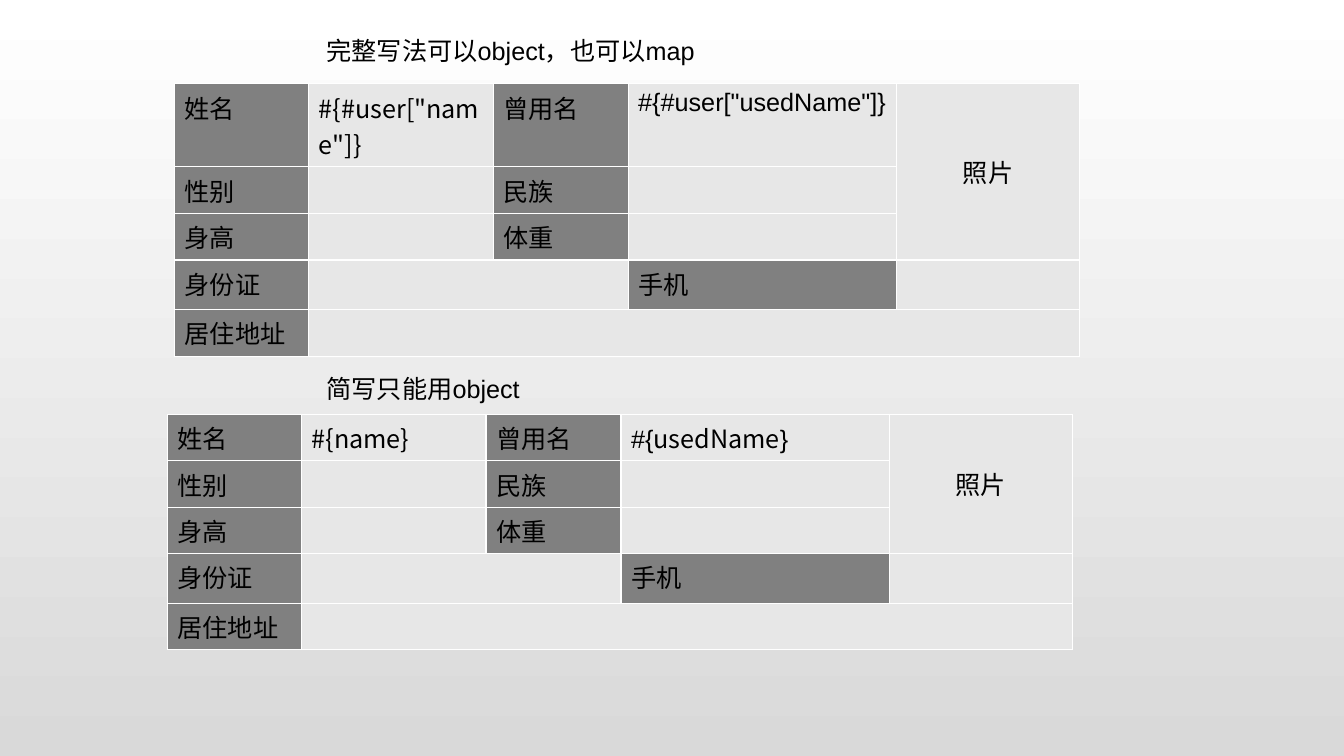
from lxml.etree import SubElement
from pptx import Presentation
from pptx.dml.color import RGBColor as RGB
from pptx.enum.text import MSO_ANCHOR as Anchor, PP_ALIGN as Align
from pptx.oxml import parse_xml
from pptx.oxml.ns import nsdecls, qn
from pptx.util import Cm, Pt

COLORS = {"label": "808080", "value": "E7E7E7", "line": "FFFFFF",
          "text": "000000", "top": "FFFFFF", "bottom": "D9D9D9"}
LATIN, CJK = "Arial", "Noto Sans CJK SC"

LABELS = {(0, 0): "姓名", (0, 2): "曾用名", (1, 0): "性别", (1, 2): "民族",
          (2, 0): "身高", (2, 2): "体重", (3, 0): "身份证", (3, 3): "手机",
          (4, 0): "居住地址"}
PHOTO = "照片"
MERGES = [((0, 4), (2, 4)), ((3, 1), (3, 2)), ((4, 1), (4, 4))]
COLS = [3.38, 4.65, 3.4, 6.76, 4.62]
ROWS = [1.17, 1.17, 1.25, 1.17]

# Each form: caption, caption top, table left, table top, first row height,
# name parts and former name parts as (text, font)
FORMS = [
    ("完整写法可以object，也可以map", 0.76, 4.4, 2.11, 2.09,
     [('#{#user["name"]}', CJK)],
     [('#{#user["usedName"]}', LATIN)]),
    ("简写只能用object", 9.27, 4.22, 10.44, 1.17,
     [("#{name}", CJK)],
     [("#{", LATIN), ("usedName", CJK), ("}", LATIN)]),
]


def write(frame, parts):
    para = frame.paragraphs[0]
    for text, face in parts:
        run = para.add_run()
        run.text = text
        run.font.size = Pt(18)
        run.font.name = face
        run.font.color.rgb = RGB.from_string(COLORS["text"])
        SubElement(run._r.get_or_add_rPr(), qn("a:ea"), typeface=CJK)


def paint(cell, color):
    """Fill the cell and draw its four borders."""
    cell.fill.solid()
    cell.fill.fore_color.rgb = RGB.from_string(color)
    props = cell._tc.get_or_add_tcPr()
    for i, side in enumerate("LRTB"):
        props.insert(i, parse_xml(
            f'<a:ln{side} {nsdecls("a")} w="12700"><a:solidFill>'
            f'<a:srgbClr val="{COLORS["line"]}"/></a:solidFill></a:ln{side}>'))


def add_form(slide, caption, cap_top, left, top, first, name, former):
    heights = [first] + ROWS
    table = slide.shapes.add_table(
        len(heights), len(COLS), Cm(left), Cm(top),
        Cm(sum(COLS)), Cm(sum(heights))).table
    table.first_row = table.horz_banding = False
    for col, width in zip(table.columns, COLS):
        col.width = Cm(width)
    for row, height in zip(table.rows, heights):
        row.height = Cm(height)

    texts = {spot: [(label, LATIN)] for spot, label in LABELS.items()}
    texts.update({(0, 1): name, (0, 3): former, (0, 4): [(PHOTO, LATIN)]})
    for r in range(len(heights)):
        for c in range(len(COLS)):
            cell = table.cell(r, c)
            paint(cell, COLORS["label" if (r, c) in LABELS else "value"])
            write(cell.text_frame, texts.get((r, c), []))
    for start, end in MERGES:
        table.cell(*start).merge(table.cell(*end))
    photo = table.cell(0, 4)
    photo.vertical_anchor = Anchor.MIDDLE
    photo.text_frame.paragraphs[0].alignment = Align.CENTER

    box = slide.shapes.add_textbox(Cm(7.98), Cm(cap_top), Cm(11.28), Cm(1.02))
    box.text_frame.word_wrap = True
    write(box.text_frame, [(caption, LATIN)])


def main():
    prs = Presentation()
    prs.slide_width, prs.slide_height = Cm(33.87), Cm(19.05)
    slide = prs.slides.add_slide(prs.slide_layouts[6])
    fill = slide.background.fill
    fill.gradient()
    fill.gradient_angle = 270
    for stop, key in zip(fill.gradient_stops, ("top", "bottom")):
        stop.color.rgb = RGB.from_string(COLORS[key])
    for form in FORMS:
        add_form(slide, *form)
    prs.save("out.pptx")


if __name__ == "__main__":
    main()
